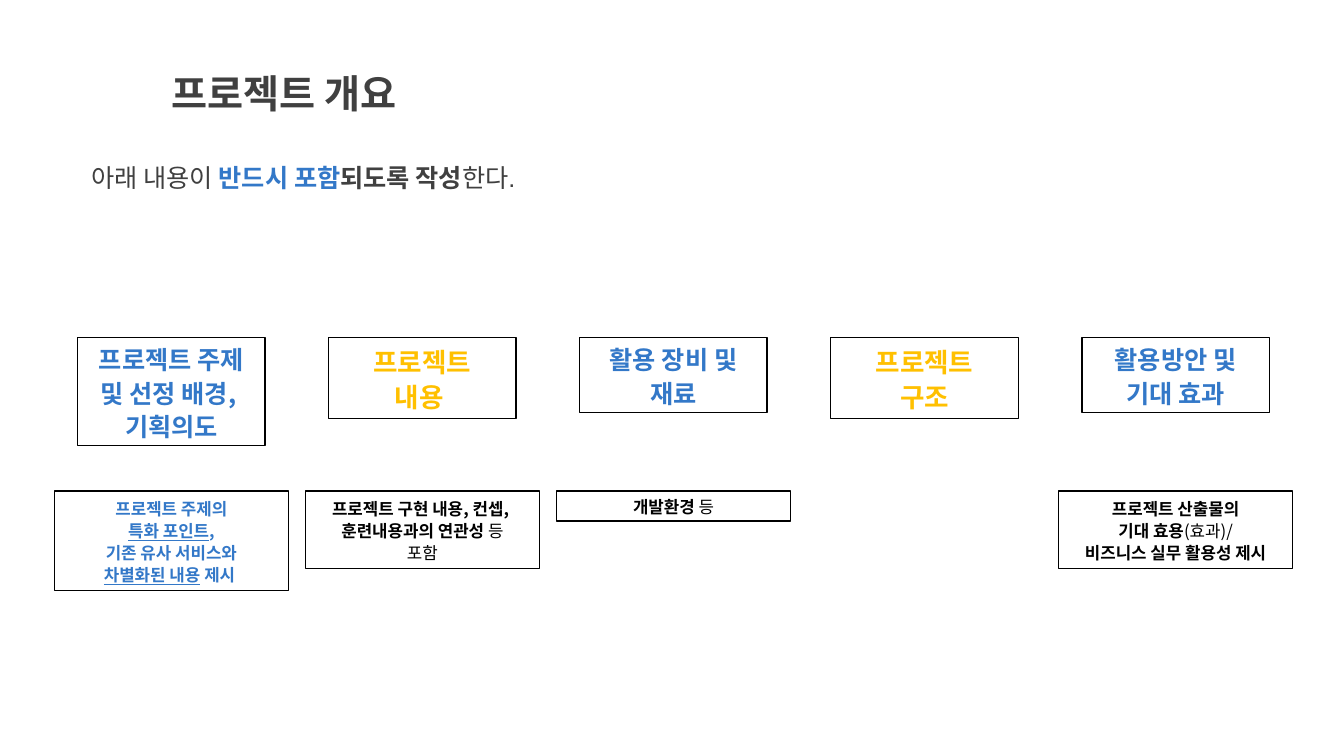
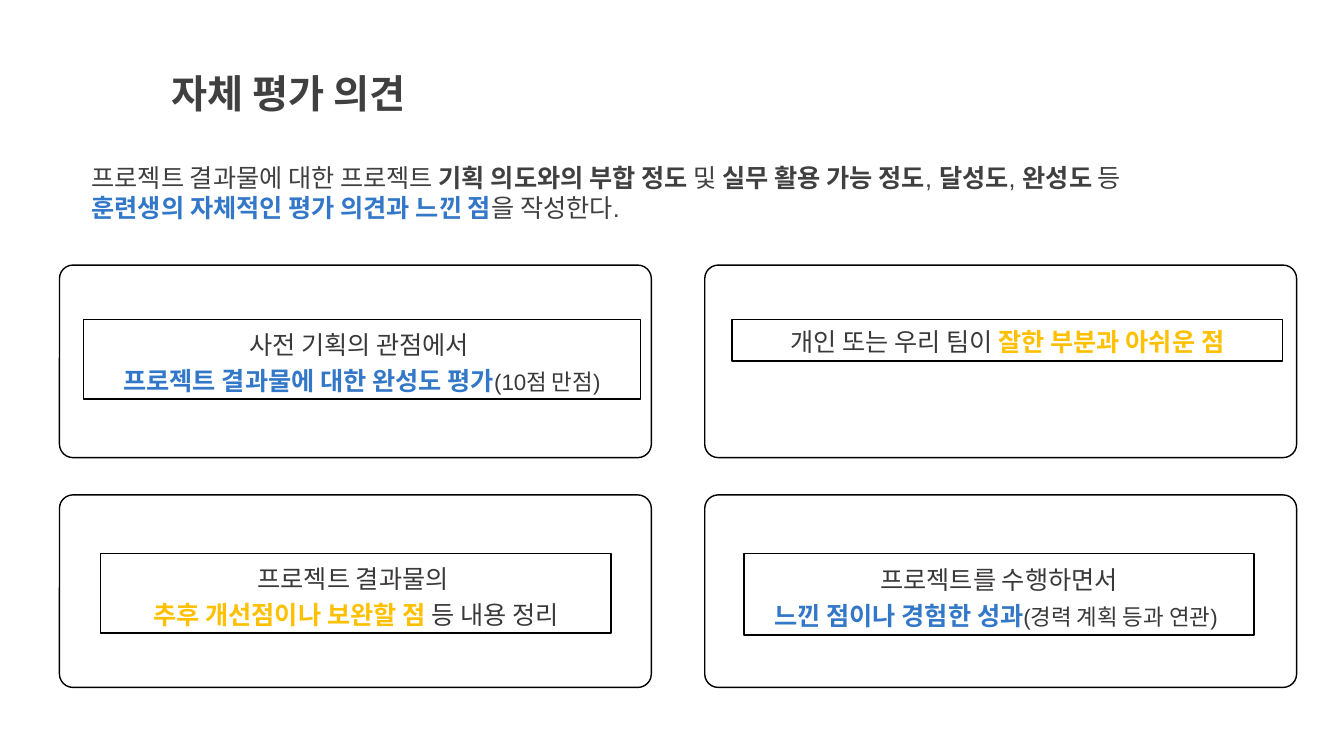
"""Build the project overview and self-evaluation slides."""
import pptx
import pptx.util
import pptx.dml.color
import pptx.enum.shapes
import pptx.enum.text
import pptx.oxml.ns
from dataclasses import dataclass
from lxml import etree

Inches = pptx.util.Inches
Kind = pptx.enum.shapes.MSO_SHAPE
Align = pptx.enum.text.PP_ALIGN
Anchor = pptx.enum.text.MSO_ANCHOR


@dataclass(frozen=True)
class Theme:
    dark: str = "404040"
    soft: str = "3B3838"
    blue: str = "3378C8"
    gold: str = "FFC000"
    black: str = "000000"
    white: str = "FFFFFF"
    latin: str = "Arial"
    asian: str = "Noto Sans CJK KR"
    title: int = 28
    large: int = 19
    body: int = 18
    note: int = 16
    small: int = 12
    edge: int = 1


class Deck:
    def __init__(self, theme):
        self.theme = theme
        self.show = pptx.Presentation()
        self.show.slide_width = Inches(13.33)
        self.show.slide_height = Inches(7.5)
        self.slide = None

    def start(self, title, lead):
        look = self.theme
        self.slide = self.show.slides.add_slide(self.show.slide_layouts[6])
        self.label((1.6, 0.64, 5.32, 0.57), [[(title, {"bold": True})]],
                   {"size": look.title, "name": look.asian, "color": look.dark})
        self.label((0.81, 1.56, 11.93, 0.71), [lead],
                   {"size": look.body, "name": look.latin, "color": look.dark})

    def label(self, place, lines, base):
        shape = self.slide.shapes.add_textbox(*map(Inches, place))
        self.letter(shape, lines, base, {"alignment": Align.LEFT}, Anchor.TOP)

    def box(self, place, lines, base, space=1.1):
        shape = self.frame(place, Kind.RECTANGLE)
        form = {"alignment": Align.CENTER, "line_spacing": space}
        self.letter(shape, lines, base, form, Anchor.MIDDLE)

    def frame(self, place, kind, bend=None):
        shape = self.slide.shapes.add_shape(kind, *map(Inches, place))
        shape.shadow.inherit = False
        shape.fill.solid()
        shape.fill.fore_color.rgb = self.color(self.theme.white)
        shape.line.color.rgb = self.color(self.theme.black)
        shape.line.width = pptx.util.Pt(self.theme.edge)
        if bend is not None:
            shape.adjustments[0] = bend
        return shape

    def letter(self, shape, lines, base, form, anchor):
        text = shape.text_frame
        text.word_wrap = True
        text.vertical_anchor = anchor
        for spot, runs in enumerate(lines):
            para = text.add_paragraph() if spot else text.paragraphs[0]
            for key, value in form.items():
                setattr(para, key, value)
            for words, change in runs:
                for row, part in enumerate(words.split("\n")):
                    if row:
                        para.add_line_break()
                    if part:
                        self.style(para.add_run(), part, {**base, **change})

    def style(self, run, words, values):
        run.text = words
        values = dict(values)
        run.font.color.rgb = self.color(values.pop("color"))
        values["size"] = pptx.util.Pt(values["size"])
        for key, value in values.items():
            setattr(run.font, key, value)
        props = run.font._element
        etree.SubElement(props, pptx.oxml.ns.qn("a:ea"), typeface=self.theme.asian)

    @staticmethod
    def color(code):
        return pptx.dml.color.RGBColor.from_string(code)


def main():
    look = Theme()
    deck = Deck(look)
    plain, bold = {}, {"bold": True}
    blue = {"color": look.blue, "bold": True}
    gold = {"color": look.gold, "bold": True}
    under = {**blue, "underline": True}
    note = {"size": look.note}

    deck.start("프로젝트 개요", [("아래 내용이 ", plain), ("반드시 포함", blue),
                           ("되도록 작성", bold), ("한다.", plain)])
    topics = [
        ("프로젝트 주제 및 선정 배경, \n기획의도", blue, 1.07, 0.99,
         [("프로젝트 주제의\n", blue), ("특화 포인트", under),
          (",\n기존 유사 서비스와\n", blue), ("차별화된 내용", under), (" 제시 ", blue)]),
        ("프로젝트\n내용 ", gold, 0.8, 0.77,
         [("프로젝트 구현 내용, 컨셉, \n훈련내용과의 연관성", bold), (" 등\n포함", plain)]),
        ("활용 장비 및\n재료", blue, 0.74, 0.3, [("개발환경", bold), (" 등", plain)]),
        ("프로젝트\n구조", gold, 0.8, 0, []),
        ("활용방안 및\n기대 효과", blue, 0.74, 0.77,
         [("프로젝트 산출물의\n기대 효용", bold), ("(효과)/\n", plain),
          ("비즈니스 실무 활용성 제시", bold)]),
    ]
    base = {"name": look.asian, "color": look.black}
    for spot, (head, tone, tall, deep, runs) in enumerate(topics):
        left = 0.77 + 2.49 * spot
        size = look.large if tone is gold else look.body
        deck.box((left, 3.35, 1.86, tall), [[(head, tone)]], {**base, "size": size})
        if runs:
            deck.box((left - 0.23, 4.87, 2.32, deep), [runs],
                     {**base, "size": look.small})

    deck.start("자체 평가 의견", [
        ("프로젝트 결과물에 대한 프로젝트 ", plain), ("기획 의도와의 부합 정도 ", bold),
        ("및 ", plain), ("실무 활용 가능 정도", bold), (", ", plain), ("달성도", bold),
        (", ", plain), ("완성도", bold), (" 등\n", plain),
        ("훈련생의 자체적인 평가 의견과 느낀 점", blue), ("을 작성한다.", plain)])
    cards = [
        ((0.83, 3.17, 5.52, 0.79), 1.2,
         [[("사전 기획의 관점에서 ", plain)],
          [("프로젝트 결과물에 대한 완성도 평가", blue), ("(10점 만점)", note)]]),
        ((7.26, 3.17, 5.46, 0.41), 1.1,
         [[("개인 또는 우리 팀이 ", plain), ("잘한 부분과 아쉬운 점", gold)]]),
        ((1, 5.49, 5.06, 0.79), 1.2,
         [[("프로젝트 결과물의 ", plain)],
          [("추후 개선점이나 보완할 점 ", gold), ("등 내용 정리", plain)]]),
        ((7.38, 5.49, 5.06, 0.81), 1.2,
         [[("프로젝트를 수행하면서\n", plain), ("느낀 점이나 경험한 성과", blue),
           ("(경력 계획 등과 연관) ", note)]]),
    ]
    base = {"size": look.body, "name": look.latin, "color": look.soft}
    for spot, (place, space, lines) in enumerate(cards):
        row, col = divmod(spot, 2)
        deck.frame((0.59 + 6.4 * col, 2.63 + 2.28 * row, 5.87, 1.91),
                   Kind.ROUNDED_RECTANGLE, 0.07)
        deck.box(place, lines, base, space)

    deck.show.save("out.pptx")


if __name__ == "__main__":
    main()
